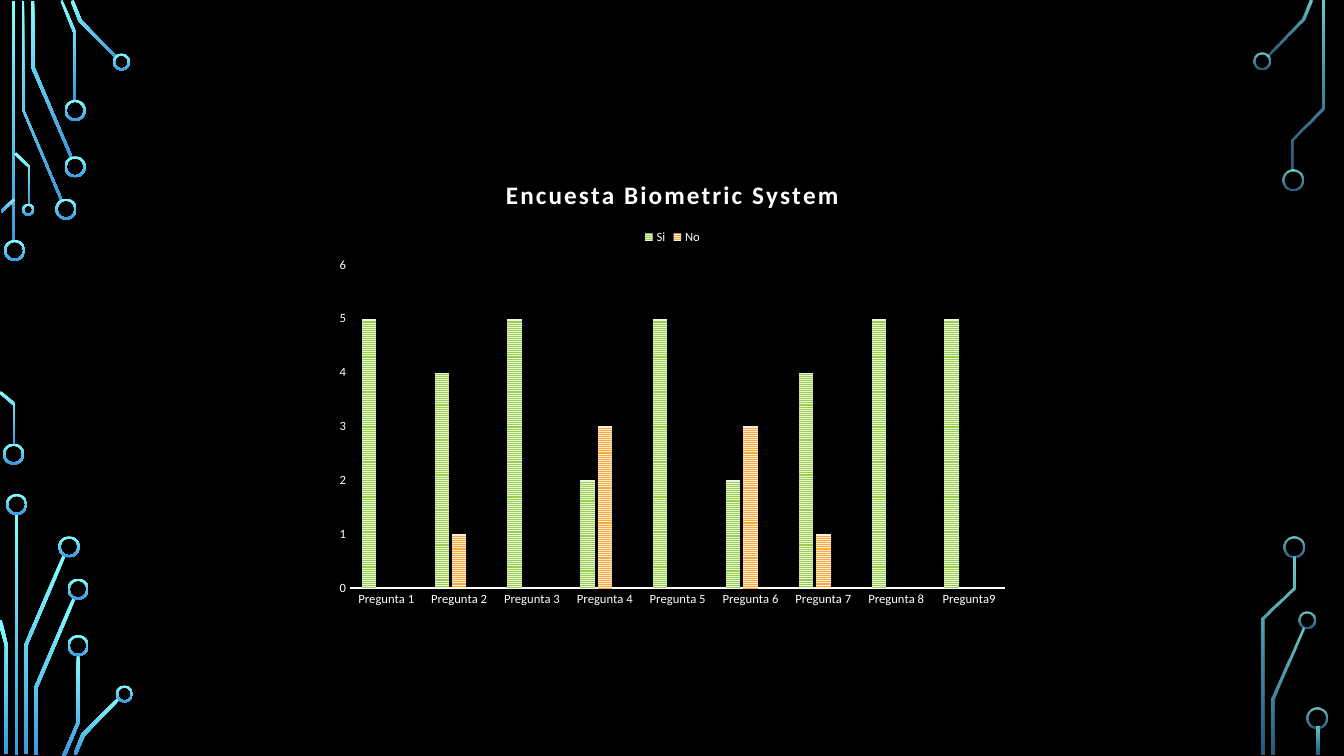
from lxml import etree
from pptx import Presentation
from pptx.chart.data import CategoryChartData
from pptx.dml.color import RGBColor
from pptx.enum.chart import XL_CHART_TYPE, XL_LEGEND_POSITION, XL_TICK_MARK
from pptx.enum.dml import MSO_PATTERN
from pptx.enum.shapes import MSO_SHAPE
from pptx.oxml.ns import qn
from pptx.util import Inches, Pt

RECTANGLE, DONUT = MSO_SHAPE.RECTANGLE, MSO_SHAPE.DONUT
NARROW_HORIZONTAL = MSO_PATTERN.NARROW_HORIZONTAL
NO_TICKS = XL_TICK_MARK.NONE
BLACK = RGBColor(0x00, 0x00, 0x00)
WHITE = RGBColor(0xFF, 0xFF, 0xFF)
CYAN = RGBColor(0x82, 0xFF, 0xFF)
BLUE = RGBColor(0x3D, 0x97, 0xDE)
GREEN, PALE_GREEN = RGBColor(0x9A, 0xCD, 0x4C), RGBColor(0xEB, 0xF5, 0xDB)
ORANGE, PALE_ORANGE = RGBColor(0xFA, 0xA9, 0x3A), RGBColor(0xFE, 0xEE, 0xD8)
RED, PALE_RED = RGBColor(0xD3, 0x59, 0x40), RGBColor(0xF6, 0xDE, 0xD9)
FONT = "Calibri"
UNIT = Inches(0.01)
COLUMNS, ROWS = 1333, 750
RING_WIDTH = 2

LEFT_BARS = [(12, 1, 3, 239), (15, 510, 3, 239)]
LEFT_TRACES = [
    [(60, 199), (22, 109), (22, 1), (24, 1), (24, 109), (62, 198)],
    [(70, 157), (31, 67), (31, 1), (34, 1), (34, 66), (72, 156)],
    [(76, 100), (73, 100), (73, 33), (60, 1), (62, 0), (76, 33)],
    [(115, 58), (78, 21), (70, 1), (73, 0), (81, 20), (116, 56)],
    [(2, 211), (1, 209), (13, 197), (15, 199)],
    [(15, 441), (13, 441), (13, 402), (-1, 390), (1, 388), (15, 400)],
    [(30, 203), (28, 203), (28, 166), (14, 153), (16, 151), (30, 165)],
    [(27, 748), (24, 748), (24, 640), (62, 551), (65, 552), (27, 641)],
    [(8, 748), (5, 748), (5, 641), (-2, 616), (2, 615), (8, 641)],
    [(37, 749), (34, 749), (34, 682), (72, 593), (75, 594), (37, 683)],
    [(65, 750), (62, 749), (76, 717), (76, 650), (79, 650), (79, 717)],
    [(76, 749), (73, 748), (81, 728), (117, 692), (119, 694), (84, 730)],
]
LEFT_RINGS = [
    (4, 238, 21), (3, 440, 21), (55, 197, 21), (64, 155, 21), (64, 99, 21),
    (112, 53, 17), (22, 202, 12), (6, 490, 21), (58, 532, 21),
    (67, 574, 21), (67, 630, 21), (115, 680, 17),
]
RIGHT_BARS = [(1306, 721, 3, 28)]
RIGHT_TRACES = [
    [(1258, 56), (1256, 55), (1291, 19), (1299, 0), (1302, 1), (1294, 20)],
    [(1264, 749), (1261, 749), (1261, 693), (1292, 623), (1294, 624), (1264, 694)],
    [(1283, 169), (1281, 169), (1281, 138), (1311, 107), (1311, 1),
     (1314, 1), (1314, 108), (1283, 139)],
    [(1254, 749), (1251, 749), (1251, 613), (1282, 583), (1282, 552),
     (1285, 552), (1285, 584), (1254, 614)],
]
RIGHT_RINGS = [
    (1243, 52, 17), (1272, 168, 21), (1288, 607, 17),
    (1273, 532, 21), (1296, 702, 21),
]
CIRCUITS = [
    (LEFT_BARS, LEFT_TRACES, LEFT_RINGS, (100, 100)),
    (RIGHT_BARS, RIGHT_TRACES, RIGHT_RINGS, (80, 60)),
]


def paint_circuit(shape, opacities):
    shape.shadow.inherit = False
    shape.line.fill.background()
    shape.fill.gradient()
    shape.fill.gradient_angle = 270
    for stop, color in zip(shape.fill.gradient_stops, (CYAN, BLUE)):
        stop.color.rgb = color
    for color, opacity in zip(shape._element.iter(qn("a:srgbClr")), opacities):
        if opacity < 100:
            etree.SubElement(color, qn("a:alpha")).set("val", str(opacity * 1000))


def format_font(font, size):
    font.name = FONT
    font.size = Pt(size)
    font.color.rgb = WHITE


presentation = Presentation()
presentation.slide_width = Inches(13.33)
presentation.slide_height = Inches(7.5)
slide = presentation.slides.add_slide(presentation.slide_layouts[6])
slide.background.fill.solid()
slide.background.fill.fore_color.rgb = BLACK

for bars, traces, rings, opacities in CIRCUITS:
    for bar in bars:
        shape = slide.shapes.add_shape(RECTANGLE, *(UNIT * n for n in bar))
        paint_circuit(shape, opacities)
    for trace in traces:
        builder = slide.shapes.build_freeform(*trace[0], scale=UNIT)
        builder.add_line_segments(trace[1:], close=True)
        paint_circuit(builder.convert_to_shape(), opacities)
    for left, top, diameter in rings:
        shape = slide.shapes.add_shape(
            DONUT, UNIT * left, UNIT * top, UNIT * diameter, UNIT * diameter)
        shape.adjustments[0] = RING_WIDTH / diameter
        paint_circuit(shape, opacities)

chart_data = CategoryChartData()
chart_data.categories = [f"Pregunta {n}" for n in range(1, 9)] + ["Pregunta9"]
chart_data.add_series("Si", (5, 4, 5, 2, 5, 2, 4, 5, 5))
chart_data.add_series("No", (0, 1, 0, 3, 0, 3, 1, 0, 0))
chart_data.add_series("Series 3", [None] * 9)
chart_width, chart_height = 688, 454
chart = slide.shapes.add_chart(
    XL_CHART_TYPE.COLUMN_CLUSTERED,
    UNIT * ((COLUMNS - chart_width) // 2 + 1), UNIT * 157,
    UNIT * chart_width, UNIT * chart_height, chart_data).chart
format_font(chart.font, 10)

chart.has_title = True
chart.chart_title.include_in_layout = False
title_paragraph = chart.chart_title.text_frame.paragraphs[0]
title_paragraph.text = "Encuesta Biometric System"
format_font(title_paragraph.font, 18)
title_paragraph.font.bold = True
for properties in title_paragraph._p.iter(qn("a:defRPr")):
    properties.set("spc", "150")
title_paragraph.runs[0].font._element.set("spc", "150")

chart.has_legend = True
legend = chart.legend
legend.position = XL_LEGEND_POSITION.TOP
legend.include_in_layout = False
format_font(legend.font, 9)
hidden_entry = etree.Element(qn("c:legendEntry"))
etree.SubElement(hidden_entry, qn("c:idx")).set("val", "2")
etree.SubElement(hidden_entry, qn("c:delete")).set("val", "1")
legend._element.find(qn("c:legendPos")).addnext(hidden_entry)

plot = chart.plots[0]
plot.gap_width = 164
plot.overlap = -22
plot.vary_by_categories = False
SERIES_COLORS = [(GREEN, PALE_GREEN), (ORANGE, PALE_ORANGE), (RED, PALE_RED)]
for series, (stripe, ground) in zip(plot.series, SERIES_COLORS):
    fill = series.format.fill
    fill.patterned()
    fill.pattern = NARROW_HORIZONTAL
    fill.fore_color.rgb = stripe
    fill.back_color.rgb = ground

for axis in (chart.category_axis, chart.value_axis):
    axis.major_tick_mark = NO_TICKS
    axis.minor_tick_mark = NO_TICKS
    axis.has_major_gridlines = False
    format_font(axis.tick_labels.font, 9)
chart.category_axis.format.line.color.rgb = WHITE
chart.category_axis.format.line.width = Pt(1.5)
chart.value_axis.format.line.fill.background()
chart.value_axis.minimum_scale = 0
chart.value_axis.maximum_scale = 6
chart.value_axis.major_unit = 1

presentation.save("out.pptx")
